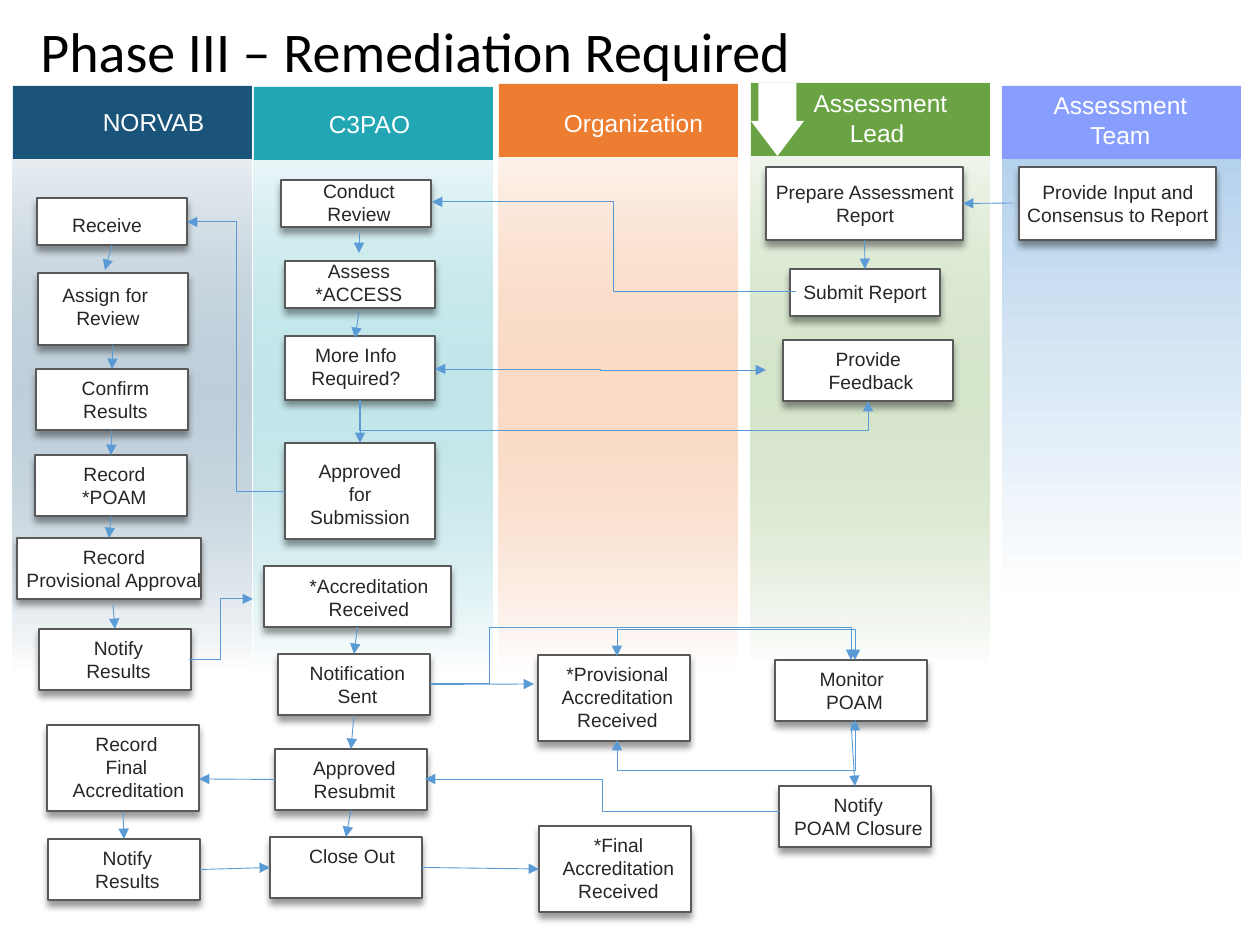
import dataclasses

import lxml.etree
import pptx
import pptx.dml.color
import pptx.enum.shapes
import pptx.enum.text
import pptx.oxml.ns
import pptx.util

RGB = pptx.dml.color.RGBColor
SHAPE = pptx.enum.shapes.MSO_SHAPE
CONNECTOR = pptx.enum.shapes.MSO_CONNECTOR
qn = pptx.oxml.ns.qn

PX_PER_INCH = 126
BLACK, WHITE = RGB(0x00, 0x00, 0x00), RGB(0xFF, 0xFF, 0xFF)
NAVY, TEAL = RGB(0x1B, 0x54, 0x7B), RGB(0x22, 0xA6, 0xB4)
ORANGE, GREEN = RGB(0xED, 0x7D, 0x31), RGB(0x6A, 0xA3, 0x43)
BLUE, PALE_BLUE = RGB(0x04, 0x32, 0xFF), RGB(0xB5, 0xD2, 0xEC)
INK, BORDER = RGB(0x26, 0x26, 0x26), RGB(0x59, 0x59, 0x59)
LINE_BLUE = RGB(0x5B, 0x9B, 0xD5)
TOP, LEFT, BOTTOM, RIGHT = range(4)
HEADER_HEIGHT = 73


@dataclasses.dataclass
class Task:
    box: tuple
    lines: tuple
    text_offset: tuple = (-15, 1)
    text_width: int = 189
    extra_rows: int = 0  # rows added by wrapping


# lane box, header colour, title lines, title offset
LANES = [
    ((13, 86, 239, 587), NAVY, ["NORVAB"], (49, 15)),
    ((254, 87, 239, 587), TEAL, ["C3PAO"], (24, 16)),
    ((499, 84, 239, 587), ORANGE, ["Organization"], (43, 18)),
    ((751, 83, 239, 587), GREEN, ["Assessment", "Lead "], (38, -1)),
]
TEAM_LANE = ((1002, 86, 239, 602), BLUE, ["Assessment", "Team"], (27, -2))

TASKS = {
    "receive": Task((37, 198, 150, 47), ("Receive",), (5, 9), 130),
    "assign": Task((38, 273, 150, 72), ("Assign for ", "Review"), (2, 4), 136),
    "confirm": Task((36, 369, 152, 61), ("Confirm", "Results")),
    "record": Task((35, 455, 152, 61), ("Record", "*POAM")),
    "provisional": Task((17, 538, 184, 61), ("Record", "Provisional Approval"), (-17, 1), 228),
    "notify": Task((39, 629, 152, 61), ("Notify", "Results")),
    "record final": Task((47, 725, 152, 86), ("Record", "Final", " Accreditation")),
    "notify final": Task((48, 839, 152, 61), ("Notify", "Results")),
    "conduct": Task((281, 180, 150, 47), ("Conduct", "Review"), (-19, -7), 194),
    "assess": Task((285, 261, 150, 47), ("Assess *ACCESS",), (11, -8), 126, 1),
    "more info": Task((285, 336, 150, 64), ("More Info", "Required?"), (0, 1), 142),
    "approved": Task((285, 443, 150, 96), ("Approved for Submission",), (10, 10), 130, 2),
    "accredited": Task((264, 566, 187, 61), ("*Accreditation", "Received"), (-11, 2), 232),
    "sent": Task((278, 654, 152, 61), ("Notification", "Sent")),
    "resubmit": Task((275, 749, 152, 61), ("Approved", "Resubmit")),
    "close out": Task((270, 837, 152, 61), (" Close Out",)),
    "provisional received": Task(
        (538, 655, 152, 86), ("*Provisional Accreditation", "Received"), extra_rows=1),
    "final received": Task(
        (539, 826, 152, 86), ("*Final Accreditation", "Received"), extra_rows=1),
    "prepare": Task((766, 167, 197, 73), ("Prepare Assessment", "Report"), (-6, 7), 210),
    "submit": Task((790, 269, 150, 47), ("Submit Report",), (-10, 5), 170),
    "feedback": Task((783, 340, 170, 61), ("Provide ", "Feedback"), (-17, 1), 210),
    "monitor": Task((775, 660, 152, 61), ("Monitor ", "POAM")),
    "closure": Task((779, 786, 152, 61), ("Notify", "POAM Closure")),
    "input": Task(
        (1019, 167, 197, 73), ("Provide Input and Consensus to Report",), (-6, 7), 210, 1),
}

# each end is a point or a (task, side) joint
STRAIGHT = [
    (("receive", BOTTOM), (105, 270)),
    (("assign", BOTTOM), ("confirm", TOP)),
    (("confirm", BOTTOM), ("record", TOP)),
    (("record", BOTTOM), ("provisional", TOP)),
    ((113, 605), ("notify", TOP)),
    (("record final", BOTTOM), ("notify final", TOP)),
    (("notify final", RIGHT), ("close out", LEFT)),
    ((359, 233), (359, 253)),
    ((359, 312), (355, 338)),
    (("more info", BOTTOM), ("approved", TOP)),
    (("accredited", BOTTOM), ("sent", TOP)),
    (("sent", BOTTOM), ("resubmit", TOP)),
    (("resubmit", BOTTOM), ("close out", TOP)),
    (("sent", RIGHT), (534, 684)),
    (("resubmit", LEFT), (199, 779)),
    (("close out", RIGHT), ("final received", LEFT)),
    ((1013, 203), ("prepare", RIGHT)),
    (("prepare", BOTTOM), ("submit", TOP)),
    (("monitor", BOTTOM), ("closure", TOP)),
]
# begin, end, arrowhead at both ends
ELBOWS = [
    ((796, 292), (432, 202), False),
    ((285, 491), (187, 222), False),
    ((189, 660), (253, 599), False),
    ((435, 369), (766, 370), True),
    ((780, 811), (425, 779), False),
]
# begin, end, depth below the beginning, arrowhead at both ends
LOOPS = [
    ((359, 400), (868, 401), 31, False),
    ((855, 720), (617, 740), 51, True),
    ((617, 656), (855, 660), -26, True),
]


def px(value):
    return pptx.util.Emu(round(value * 914400 / PX_PER_INCH))


def emu_box(box):
    return [px(value) for value in box]


def add_element(parent, tag, **attributes):
    return lxml.etree.SubElement(parent, qn(tag), attributes)


def set_alpha(color_element, percent):
    add_element(color_element, "a:alpha", val=str(percent * 1000))


def add_text(shapes, box, lines, size, color, font="Arial", align=pptx.enum.text.PP_ALIGN.CENTER):
    frame = shapes.add_textbox(*emu_box(box)).text_frame
    frame.word_wrap = True
    for index, line in enumerate(lines):
        paragraph = frame.paragraphs[0] if index == 0 else frame.add_paragraph()
        paragraph.alignment = align
        run = paragraph.add_run()
        run.text = line
        run.font.name, run.font.size = font, pptx.util.Pt(size)
        run.font.color.rgb = color
    return frame


def add_block(shapes, kind, box, color):
    shape = shapes.add_shape(kind, *emu_box(box))
    shape.shadow.inherit = False
    shape.line.fill.background()
    shape.fill.solid()
    shape.fill.fore_color.rgb = color
    return shape


def draw_title(slide, box):
    frame = add_text(slide.shapes, box, ["Phase III – Remediation Required"], 32, BLACK,
                     "Calibri", pptx.enum.text.PP_ALIGN.LEFT)
    frame.vertical_anchor = pptx.enum.text.MSO_ANCHOR.MIDDLE
    frame.paragraphs[0].line_spacing = 0.9


def draw_lane(slide, box, color, lines, offset, fade=None, fade_end=1.0):
    """Draw a header above a fading body; without a fade colour the body tints from the header."""
    x, y, width, height = box
    header = add_block(slide.shapes, SHAPE.RECTANGLE, (x, y, width, HEADER_HEIGHT), color)
    body_box = (x, y + HEADER_HEIGHT, width, height - HEADER_HEIGHT)
    body = add_block(slide.shapes, SHAPE.RECTANGLE, body_box, color)
    body.fill.gradient()
    body.fill.gradient_angle = 270
    first, last = body.fill.gradient_stops
    first.color.rgb, last.color.rgb = fade or color, WHITE
    first.position, last.position = 0, fade_end
    see_through, percent = (header, 47) if fade else (body, 10)
    set_alpha(next(see_through.element.spPr.iter(qn("a:srgbClr"))), percent)
    add_text(slide.shapes, (x + offset[0], y + offset[1], 183, 15 + 28 * len(lines)),
             lines, 14, WHITE)


def draw_down_arrow(slide, box):
    arrow = add_block(slide.shapes, SHAPE.DOWN_ARROW, box, WHITE)
    arrow.adjustments[0], arrow.adjustments[1] = 0.72, 0.66


def draw_task(slide, task):
    x, y = task.box[:2]
    group = slide.shapes.add_group_shape()
    card = add_block(group.shapes, SHAPE.RECTANGLE, task.box, WHITE)
    card.line.color.rgb, card.line.width = BORDER, pptx.util.Pt(1)
    shadow = add_element(card.element.spPr.find(qn("a:effectLst")), "a:outerShdw",
                         blurRad=str(pptx.util.Pt(4)), dist=str(pptx.util.Pt(3)),
                         dir="5400000", algn="t", rotWithShape="0")
    set_alpha(add_element(shadow, "a:srgbClr", val=str(BLACK)), 40)
    rows = len(task.lines) + task.extra_rows
    add_text(group.shapes, (x + task.text_offset[0], y + task.text_offset[1],
                            task.text_width, 13 + 23 * rows), task.lines, 11, INK)
    return card


def add_arrow(slide, kind, begin, end, both=False):
    arrow = slide.shapes.add_connector(kind, *emu_box(begin + end))
    arrow.line.color.rgb, arrow.line.width = LINE_BLUE, pptx.util.Pt(0.5)
    line = arrow.line._get_or_add_ln()
    for tag in ["a:headEnd", "a:tailEnd"] if both else ["a:tailEnd"]:
        add_element(line, tag, type="triangle")
    add_element(arrow.element.spPr, "a:effectLst")
    return arrow


def set_bends(arrow, kind, *ratios):
    geometry = arrow.element.spPr.find(qn("a:prstGeom"))
    geometry.set("prst", kind)
    for index, ratio in enumerate(ratios, 1):
        add_element(geometry.find(qn("a:avLst")), "a:gd", name=f"adj{index}",
                    fmla=f"val {round(ratio * 100000)}")


def draw_straight(slide, cards, begin, end):
    points = [(0, 0) if isinstance(joint[0], str) else joint for joint in (begin, end)]
    arrow = add_arrow(slide, CONNECTOR.STRAIGHT, *points)
    for joint, connect in ((begin, arrow.begin_connect), (end, arrow.end_connect)):
        if isinstance(joint[0], str):
            connect(cards[joint[0]], joint[1])


def draw_loop(slide, begin, end, depth, both):
    """Draw a U-shaped arrow: an elbow turned on its side, bending outside its ends."""
    rise, span = end[1] - begin[1], abs(end[0] - begin[0])
    center_x, center_y = (begin[0] + end[0]) / 2, (begin[1] + end[1]) / 2
    corner = (center_x - rise / 2, center_y - span / 2)
    opposite = (center_x + rise / 2, center_y + span / 2)
    arrow = add_arrow(slide, CONNECTOR.ELBOW, corner, opposite, both)
    frame = arrow.element.spPr.find(qn("a:xfrm"))
    if begin[0] < end[0]:
        frame.set("rot", "16200000")
        frame.set("flipH", "1")
    else:
        frame.set("rot", "5400000")
    set_bends(arrow, "bentConnector3", depth / rise)


def main():
    presentation = pptx.Presentation()
    presentation.slide_width, presentation.slide_height = px(1260), px(945)
    slide = presentation.slides.add_slide(presentation.slide_layouts[6])
    for lane in LANES:
        draw_lane(slide, *lane)
    draw_lane(slide, *TEAM_LANE, fade=PALE_BLUE, fade_end=0.84)
    draw_down_arrow(slide, (751, 83, 53, HEADER_HEIGHT))
    draw_title(slide, (28, 9, 1213, 91))
    cards = {name: draw_task(slide, task) for name, task in TASKS.items()}
    for begin, end in STRAIGHT:
        draw_straight(slide, cards, begin, end)
    for begin, end, both in ELBOWS:
        add_arrow(slide, CONNECTOR.ELBOW, begin, end, both)
    for loop in LOOPS:
        draw_loop(slide, *loop)
    sent_to_monitor = add_arrow(slide, CONNECTOR.ELBOW, (431, 684), (851, 660))
    set_bends(sent_to_monitor, "bentConnector4", 0.14, 2.34)
    presentation.save("out.pptx")


if __name__ == "__main__":
    main()
